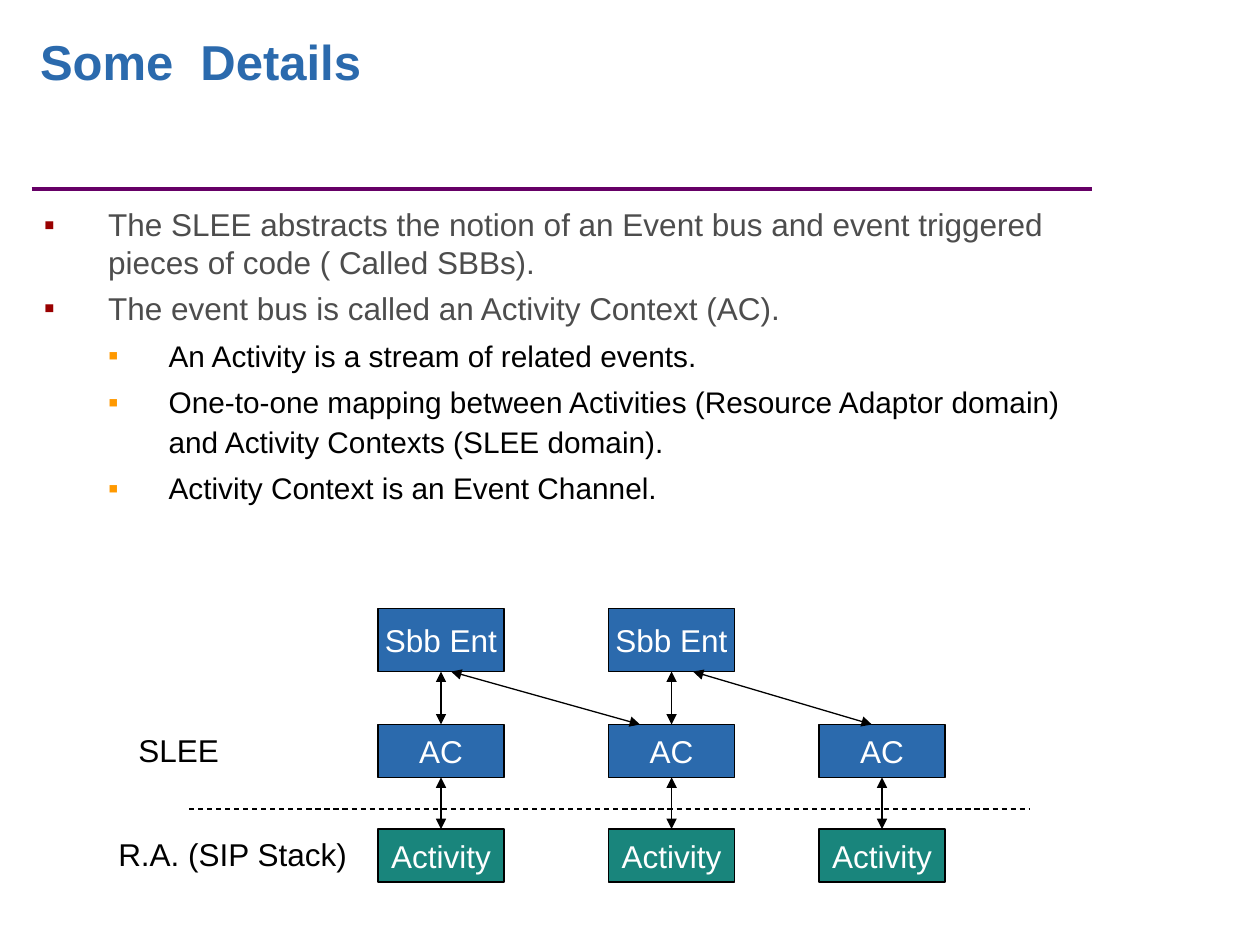
from dataclasses import dataclass
from lxml.etree import SubElement as Sub
from pptx import Presentation
from pptx.dml.color import RGBColor as Rgb
from pptx.enum.dml import MSO_LINE as Dash
from pptx.enum.shapes import MSO_CONNECTOR as Conn, MSO_SHAPE as Form
from pptx.enum.text import MSO_ANCHOR as Anchor, MSO_AUTO_SIZE as Fit, PP_ALIGN as Align
from pptx.oxml.ns import qn
from pptx.util import Inches, Pt


@dataclass(frozen=True)
class Theme:
    font: str = "Arial"
    blue: str = "2B6AAD"
    teal: str = "19857C"
    plum: str = "660066"
    gray: str = "4D4D4D"
    black: str = "000000"
    white: str = "FFFFFF"
    red: str = "990000"
    gold: str = "FF9900"
    head: int = 28
    body: int = 18
    sub: int = 17
    thin: float = 0.75
    rule: float = 2.25


@dataclass(frozen=True)
class Level:
    size: int
    color: str
    mark: str
    left: float
    hang: float
    gap: float
    lead: float


T = Theme()
LEVELS = (
    Level(T.body, T.gray, T.red, 0.51, 0.51, 4.5, 1.0),
    Level(T.sub, T.black, T.gold, 0.99, 0.48, 4.2, 1.1),
)
POINTS = (
    (0, "The SLEE abstracts the notion of an Event bus and event triggered pieces of code ( Called SBBs)."),
    (0, "The event bus is called an Activity Context (AC)."),
    (1, "An Activity is a stream of related events."),
    (1, "One-to-one mapping between Activities (Resource Adaptor domain) and Activity Contexts (SLEE domain)."),
    (1, "Activity Context is an Event Channel."),
)
COLS = (3, 4.83, 6.5)
WIDE = 1
ROWS = (
    ("Sbb Ent", 4.83, 0.5, T.blue, 2),
    ("AC", 5.75, 0.42, T.blue, 3),
    ("Activity", 6.58, 0.42, T.teal, 3),
)


def add_run(para, text, size, color, bold=False):
    run = para.add_run()
    run.text = text
    font = run.font
    font.name, font.size, font.bold = T.font, Pt(size), bold
    font.color.rgb = Rgb.from_string(color)


def add_text(slide, box, wrap=True):
    frame = slide.shapes.add_textbox(*map(Inches, box)).text_frame
    frame.word_wrap = wrap
    frame.auto_size = Fit.NONE if wrap else Fit.SHAPE_TO_FIT_TEXT
    return frame


def add_title(slide, text):
    para = add_text(slide, (0.22, 0.25, 8.36, 1.25)).paragraphs[0]
    para.line_spacing = 0.9
    add_run(para, text, T.head, T.blue, True)


def add_mark(para, level):
    props = para._p.get_or_add_pPr()
    props.set("marL", str(Inches(level.left)))
    props.set("indent", str(-Inches(level.hang)))
    Sub(Sub(props, qn("a:buClr")), qn("a:srgbClr"), val=level.mark)
    Sub(props, qn("a:buFont"), typeface=T.font)
    Sub(props, qn("a:buChar"), char="▪")


def add_list(slide, points):
    frame = add_text(slide, (0.25, 1.58, 8.36, 3.1))
    for i, (depth, text) in enumerate(points):
        para = frame.add_paragraph() if i else frame.paragraphs[0]
        level = LEVELS[depth]
        para.level = depth
        add_mark(para, level)
        para.line_spacing = level.lead
        if i:
            para.space_before = Pt(level.gap)
        add_run(para, text, level.size, level.color)


def add_label(slide, box, text):
    add_run(add_text(slide, box, False).paragraphs[0], text, T.body, T.black)


def add_node(slide, box, text, fill):
    node = slide.shapes.add_shape(Form.RECTANGLE, *map(Inches, box))
    node.shadow.inherit = False
    node.fill.solid()
    node.fill.fore_color.rgb = Rgb.from_string(fill)
    node.line.color.rgb = Rgb.from_string(T.black)
    node.line.width = Pt(T.thin)
    frame = node.text_frame
    frame.word_wrap = False
    frame.vertical_anchor = Anchor.MIDDLE
    para = frame.paragraphs[0]
    para.alignment = Align.CENTER
    add_run(para, text, T.body, T.white)


def add_line(slide, ends, color=T.black, width=T.thin, dash=None):
    link = slide.shapes.add_connector(Conn.STRAIGHT, *map(Inches, ends))
    link.line.color.rgb = Rgb.from_string(color)
    link.line.width = Pt(width)
    if dash:
        link.line.dash_style = dash
    Sub(link._element.spPr, qn("a:effectLst"))
    return link


def add_arrow(slide, ends):
    line = add_line(slide, ends)._element.spPr.find(qn("a:ln"))
    for end in ("a:headEnd", "a:tailEnd"):
        Sub(line, qn(end), type="triangle")


def add_graph(slide):
    for text, top, high, fill, count in ROWS:
        for left in COLS[:count]:
            add_node(slide, (left, top, WIDE, high), text, fill)
    for upper, lower in zip(ROWS, ROWS[1:]):
        base = upper[1] + upper[2]
        for left in COLS[:upper[4]]:
            mid = left + WIDE / 2
            add_arrow(slide, (mid, base, mid, lower[1]))
    for start, stop in ((3.58, 5.08), (5.5, 6.92)):
        add_arrow(slide, (start, ROWS[0][1] + ROWS[0][2], stop, ROWS[1][1]))
    add_line(slide, (1.5, 6.42, 8.17, 6.42), dash=Dash.DASH)
    add_label(slide, (0.84, ROWS[2][1], 2.02, 0.4), "R.A. (SIP Stack)")
    add_label(slide, (1, ROWS[1][1], 0.84, 0.4), "SLEE")


def main():
    deck = Presentation()
    deck.slide_width, deck.slide_height = Inches(10), Inches(7.5)
    slide = deck.slides.add_slide(deck.slide_layouts[6])
    add_line(slide, (0.25, 1.5, 8.67, 1.5), T.plum, T.rule)
    add_title(slide, "Some  Details")
    add_list(slide, POINTS)
    add_graph(slide)
    deck.save("out.pptx")


if __name__ == "__main__":
    main()
